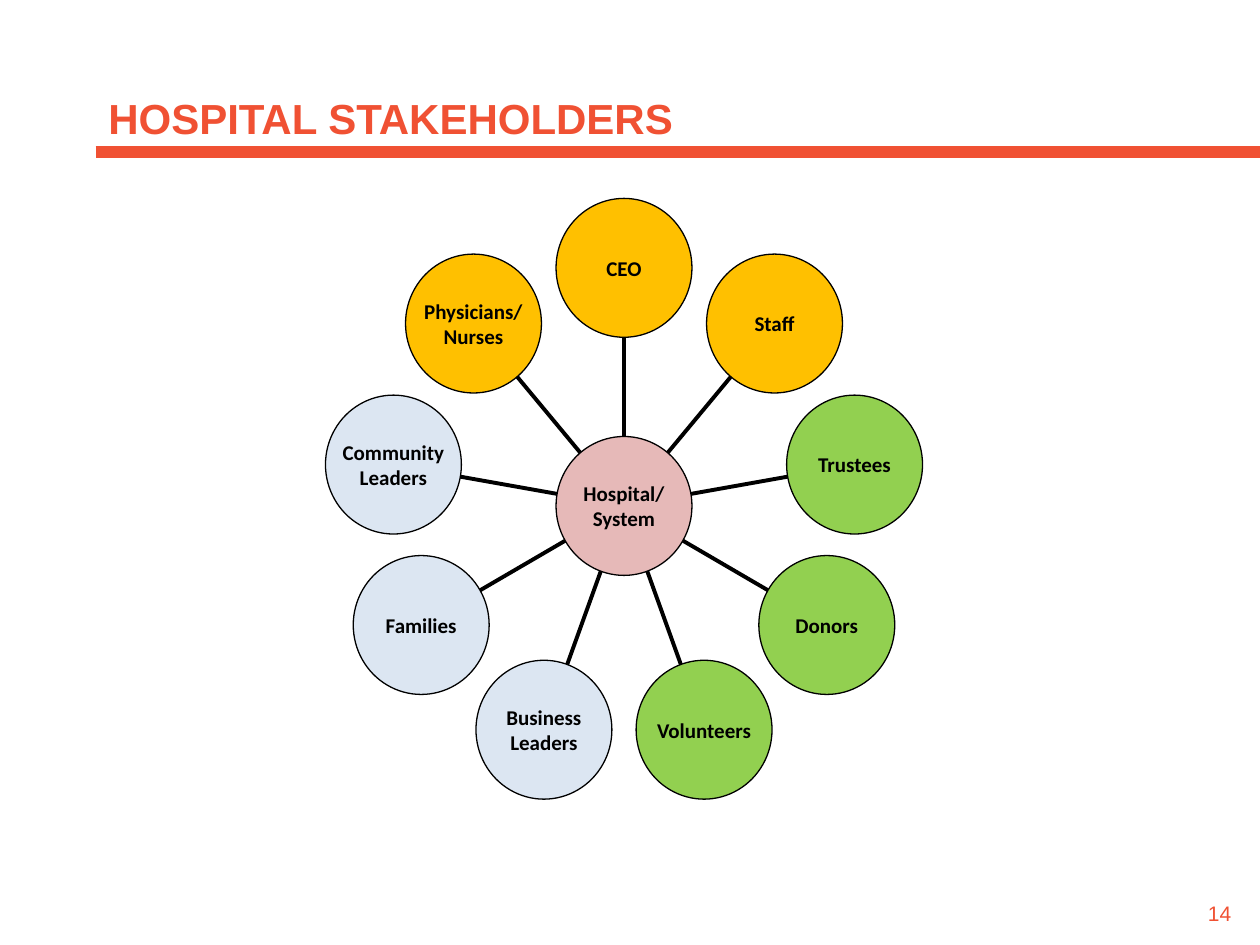
from math import cos, radians, sin

from lxml import etree
from pptx import Presentation
from pptx.dml.color import RGBColor
from pptx.enum import shapes, text
from pptx.oxml.ns import qn
from pptx.util import Cm, Pt

RED, BLACK = "F05133", "000000"
GOLD, GREEN, BLUE, PINK = "FFC000", "92D050", "DCE6F2", "E6B9B8"

TITLE = "HOSPITAL STAKEHOLDERS"
PAGE_NUMBER = "14"
HUB = ("Hospital/\nSystem", PINK)
STAKEHOLDERS = [  # clockwise from the top
    ("CEO", GOLD),
    ("Staff", GOLD),
    ("Trustees", GREEN),
    ("Donors", GREEN),
    ("Volunteers", GREEN),
    ("Business\nLeaders", BLUE),
    ("Families", BLUE),
    ("Community\nLeaders", BLUE),
    ("Physicians/\nNurses", GOLD),
]

# All lengths in centimetres
CENTER_X, CENTER_Y = 12.58, 10.2
RING_X, RING_Y = 4.72, 4.8
CIRCLE_W, CIRCLE_H = 2.74, 2.8


def color(hex_string):
    return RGBColor.from_string(hex_string)


def write(shape, content, size=12, font="Calibri", fill=BLACK, bold=False,
          align=text.PP_ALIGN.LEFT, anchor=text.MSO_ANCHOR.MIDDLE, wrap=True):
    frame = shape.text_frame
    frame.text = content
    frame.word_wrap = wrap
    frame.vertical_anchor = anchor
    for paragraph in frame.paragraphs:
        paragraph.alignment = align
        for run in paragraph.runs:
            run.font.size, run.font.name, run.font.bold = Pt(size), font, bold
            run.font.color.rgb = color(fill)


def add_line(slide, start, end, width, stroke=BLACK):
    line = slide.shapes.add_connector(
        shapes.MSO_CONNECTOR.STRAIGHT, *map(Cm, (*start, *end)))
    line.line.width = Pt(width)
    line.line.color.rgb = color(stroke)
    etree.SubElement(line._element.spPr, qn("a:effectLst"))


def add_circle(slide, x, y, label, fill):
    """Draw a labelled circle centred on x, y."""
    circle = slide.shapes.add_shape(
        shapes.MSO_SHAPE.OVAL, Cm(x - CIRCLE_W / 2), Cm(y - CIRCLE_H / 2),
        Cm(CIRCLE_W), Cm(CIRCLE_H))
    circle.shadow.inherit = False
    circle.fill.solid()
    circle.fill.fore_color.rgb = color(fill)
    circle.line.color.rgb = color(BLACK)
    circle.line.width = Pt(0.75)
    frame = circle.text_frame
    frame.margin_left = frame.margin_right = Cm(0.18)
    frame.margin_top = frame.margin_bottom = Cm(0.08)
    write(circle, label, bold=True, align=text.PP_ALIGN.CENTER, wrap=False)


def add_wheel(slide):
    for index, (label, fill) in enumerate(STAKEHOLDERS):
        angle = radians(index * 360 / len(STAKEHOLDERS))
        across, down = sin(angle), -cos(angle)
        x, y = CENTER_X + RING_X * across, CENTER_Y + RING_Y * down
        edge_x, edge_y = CIRCLE_W / 2 * across, CIRCLE_H / 2 * down
        add_line(slide, (CENTER_X + edge_x, CENTER_Y + edge_y),
                 (x - edge_x, y - edge_y), 2.25)
        add_circle(slide, x, y, label, fill)
    add_circle(slide, CENTER_X, CENTER_Y, *HUB)


def main():
    presentation = Presentation()
    presentation.slide_width, presentation.slide_height = Cm(25.4), Cm(19.05)
    slide = presentation.slides.add_slide(presentation.slide_layouts[5])

    add_line(slide, (1.93, 3.07), (25.4, 3.07), 7, RED)
    title = slide.shapes.title
    title.left, title.top, title.width, title.height = map(
        Cm, (1.93, 1.68, 22.2, 1.4))
    write(title, TITLE, size=24, font="Arial", fill=RED, bold=True)
    number = slide.shapes.add_textbox(Cm(24.1), Cm(18.03), Cm(1.3), Cm(0.77))
    write(number, PAGE_NUMBER, font="Arial", fill=RED,
          anchor=text.MSO_ANCHOR.TOP)

    add_wheel(slide)
    presentation.save("out.pptx")


if __name__ == "__main__":
    main()
